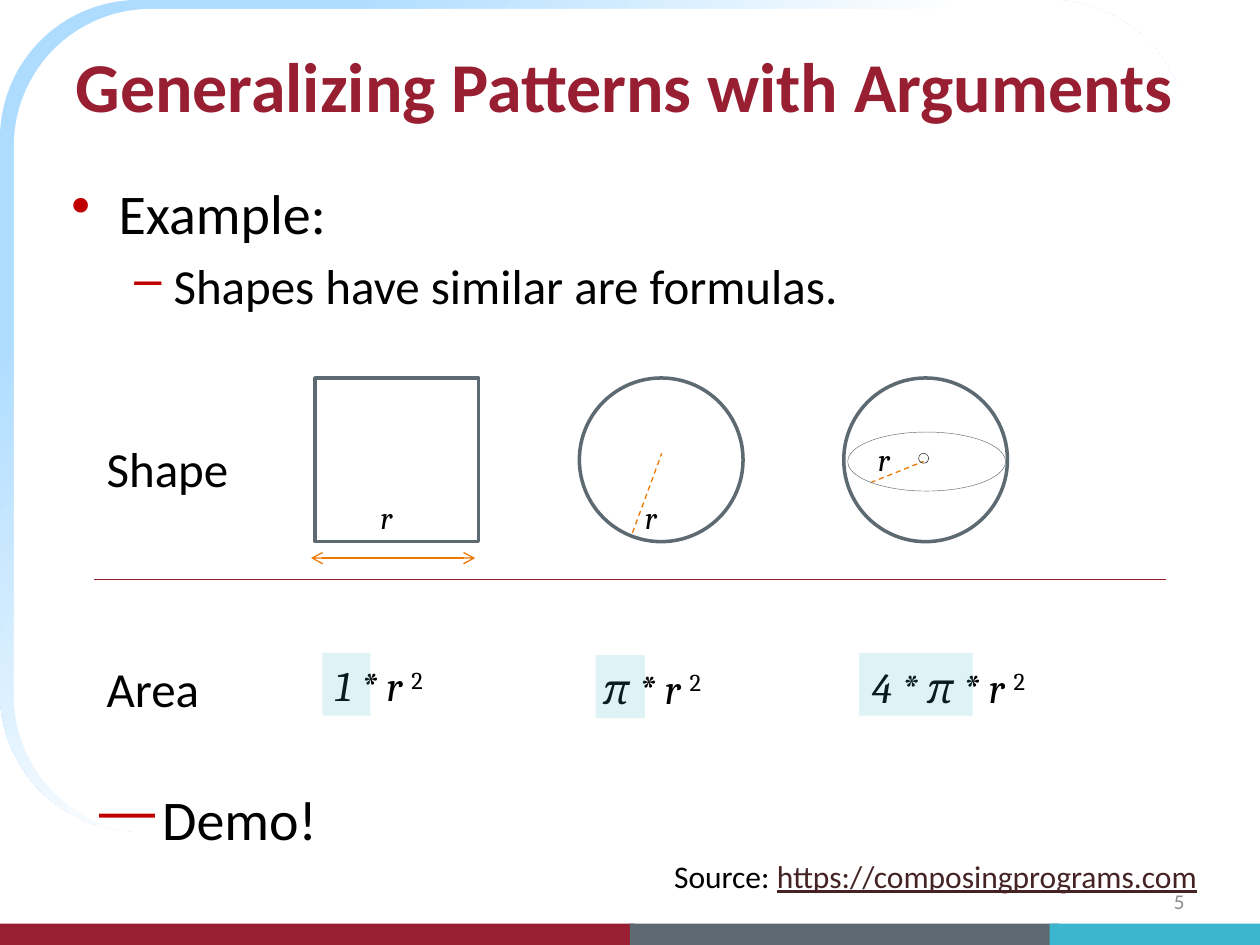
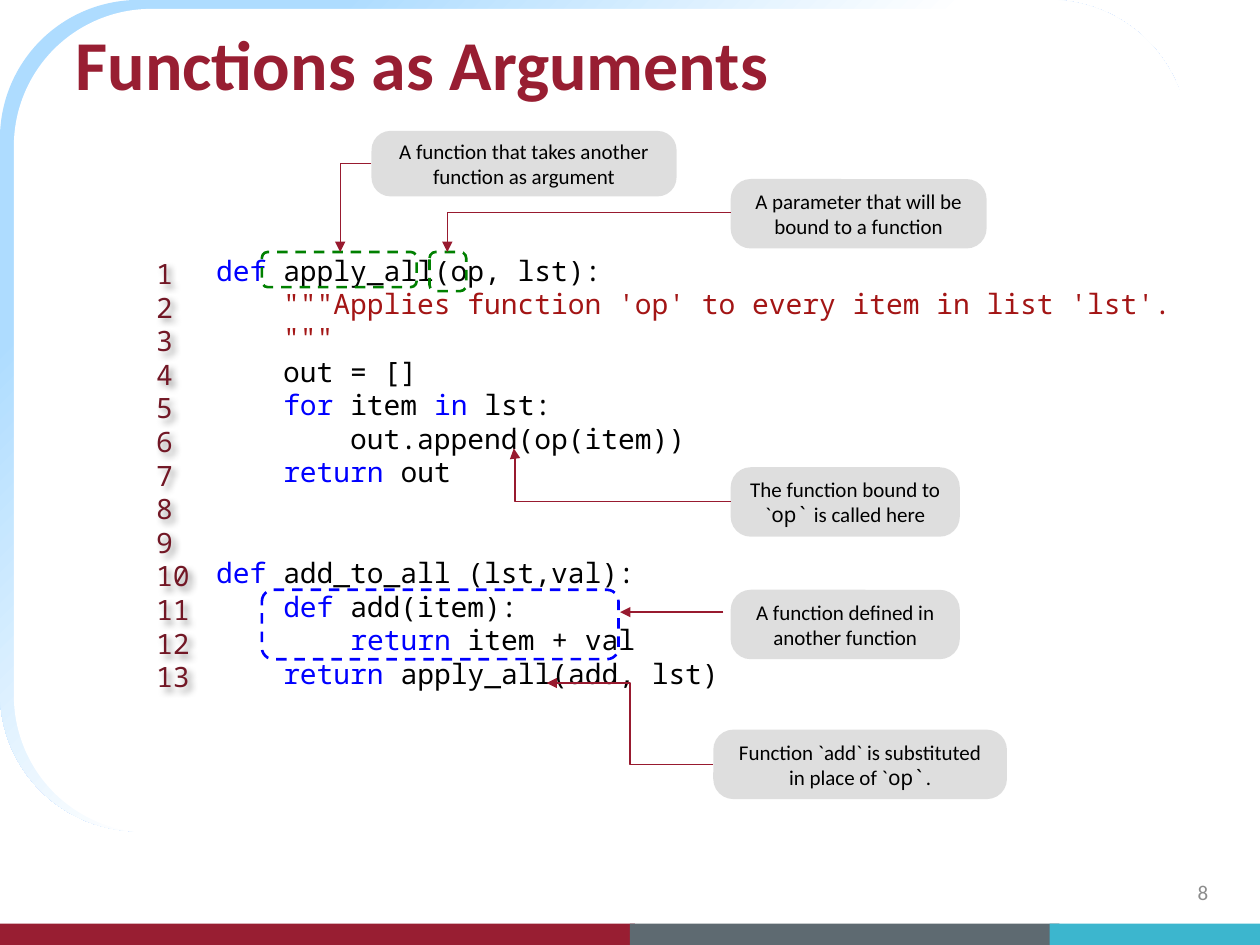
from itertools import groupby

from pptx import Presentation
from pptx.dml.color import RGBColor
from pptx.enum.dml import MSO_LINE
from pptx.enum.shapes import MSO_CONNECTOR, MSO_SHAPE
from pptx.enum.text import MSO_ANCHOR, MSO_AUTO_SIZE, PP_ALIGN
from pptx.oxml.ns import qn
from pptx.util import Cm, Pt

RECT, OVAL, ROUND = MSO_SHAPE.RECTANGLE, MSO_SHAPE.OVAL, MSO_SHAPE.ROUNDED_RECTANGLE
STRAIGHT, ELBOW = MSO_CONNECTOR.STRAIGHT, MSO_CONNECTOR.ELBOW
TOP, MIDDLE = MSO_ANCHOR.TOP, MSO_ANCHOR.MIDDLE
LEFT, CENTER, RIGHT = PP_ALIGN.LEFT, PP_ALIGN.CENTER, PP_ALIGN.RIGHT
DASH, FIXED = MSO_LINE.DASH, MSO_AUTO_SIZE.NONE

CRIMSON = RGBColor(0x98, 0x1E, 0x32)
WINE = RGBColor(0x98, 0x1A, 0x2F)
MAROON = RGBColor(0x72, 0x17, 0x25)
SLATE = RGBColor(0x5E, 0x6A, 0x71)
TEAL = RGBColor(0x3C, 0xB6, 0xCE)
SKY = RGBColor(0xAE, 0xDC, 0xFF)
WHITE = RGBColor(0xFF, 0xFF, 0xFF)
BLACK = RGBColor(0, 0, 0)
GRAY = RGBColor(0x8C, 0x8C, 0x8C)
SILVER = RGBColor(0xBF, 0xBF, 0xBF)
ORANGE = RGBColor(0xEC, 0x77, 0x02)
BULLET = RGBColor(0xC0, 0, 0)
LINK = RGBColor(0x45, 0x23, 0x25)
BLUE = RGBColor(0, 0, 0xFF)
GREEN = RGBColor(0, 0x80, 0)
BRICK = RGBColor(0xA3, 0x15, 0x15)

SANS, SERIF, MONO = "Calibri", "Cambria", "Noto Sans Mono"
KEYS = {"def", "for", "in", "return"}


def child(parent, tag, **attrs):
    """Append a DrawingML element with its attributes."""
    node = parent.makeelement(qn("a:" + tag), {k: str(v) for k, v in attrs.items()})
    parent.append(node)
    return node


def write(para, text, size=18, font=SANS, color=BLACK, bold=False,
          slant=False, under=False, base=0):
    """Add one formatted run to a paragraph."""
    run = para.add_run()
    run.text = text
    face = run.font
    face.size, face.name, face.color.rgb = Pt(size), font, color
    face.bold, face.italic, face.underline = bold, slant, under
    if base:
        face._element.set("baseline", str(base * 1000))


def tint(shape, percent):
    """Make a solid fill partly transparent."""
    color = shape._element.spPr.find(qn("a:solidFill")).find(qn("a:srgbClr"))
    child(color, "alpha", val=percent * 1000)


def mark(para, sign, left, hang):
    """Give a paragraph a coloured bullet and a hanging indent."""
    props = para._p.get_or_add_pPr()
    props.set("marL", str(Cm(left)))
    props.set("indent", str(-Cm(hang)))
    child(child(props, "buClr"), "srgbClr", val=BULLET)
    child(props, "buChar", char=sign)


class Deck:
    def __init__(self):
        self.show = Presentation()
        self.show.slide_width, self.show.slide_height = Cm(25.4), Cm(19.05)
        self.layout = self.show.slide_layouts[5]
        self.slide = None

    def page(self, title, spot, number, place):
        """Start a slide with its title and page number."""
        first = self.slide is None
        self.slide = self.show.slides.add_slide(self.layout)
        if first:
            self.frame()
        head = self.slide.shapes.title
        head.left, head.top, head.width, head.height = map(Cm, spot)
        self.setup(head.text_frame, MIDDLE)
        para = head.text_frame.paragraphs[0]
        para.alignment = LEFT
        write(para, title, size=40, color=CRIMSON, bold=True)
        self.text(*place, 5.92, 1.02, number, anchor=MIDDLE, align=RIGHT,
                  size=12, color=GRAY)

    def frame(self):
        """Put the shared curve and bottom bands on the layout."""
        curve = self.shape(ROUND, 0, 0, 23.95, 16.76, fill=SKY)
        curve.fill.gradient()
        curve.fill.gradient_angle = 315
        for stop, place, color in zip(curve.fill.gradient_stops, (0.17, 0.48), (SKY, WHITE)):
            stop.position, stop.color.rgb = place, color
        parts = [curve, self.shape(ROUND, 0.28, 0.18, 23.75, 16.61, fill=WHITE)]
        for left, width, color in ((0, 12.8, CRIMSON), (12.7, 8.66, SLATE), (21.16, 4.24, TEAL)):
            parts.append(self.shape(RECT, left, 18.62, width, 0.43, fill=color))
        tree = self.layout.shapes._spTree
        for n, part in enumerate(parts):
            part._element.nvSpPr.cNvPr.set("id", str(100 + n))
            tree.insert(2 + n, part._element)

    def setup(self, frame, anchor, wrap=True):
        frame.word_wrap, frame.auto_size = wrap, FIXED
        frame.vertical_anchor = anchor

    def box(self, left, top, width, height, anchor=TOP, wrap=True):
        """Add an empty text box."""
        area = self.slide.shapes.add_textbox(*map(Cm, (left, top, width, height)))
        self.setup(area.text_frame, anchor, wrap)
        return area

    def text(self, left, top, width, height, words, anchor=TOP, align=LEFT, **style):
        """Add a text box that holds one run."""
        para = self.box(left, top, width, height, anchor).text_frame.paragraphs[0]
        para.alignment = align
        write(para, words, **style)
        return para

    def shape(self, kind, left, top, width, height, fill=None, line=None,
              weight=1, dash=None):
        item = self.slide.shapes.add_shape(kind, *map(Cm, (left, top, width, height)))
        item.shadow.inherit = False
        if fill is None:
            item.fill.background()
        else:
            item.fill.solid()
            item.fill.fore_color.rgb = fill
        if line is None:
            item.line.fill.background()
        else:
            item.line.color.rgb, item.line.width = line, Pt(weight)
            item.line.dash_style = dash
        return item

    def line(self, start, end, color=WINE, dash=None, head=None, tail=None, bend=None):
        """Add a line; bend is 'corner' or the place of the turn in percent."""
        kind = STRAIGHT if bend is None else ELBOW
        link = self.slide.shapes.add_connector(kind, *map(Cm, start + end))
        link.line.color.rgb, link.line.width = color, Pt(0.75)
        link.line.dash_style = dash
        props = link._element.spPr
        stroke = props.find(qn("a:ln"))
        for tag, tip in (("headEnd", head), ("tailEnd", tail)):
            if tip:
                child(stroke, tag, type=tip)
        child(props, "effectLst")
        if bend is not None:
            form = props.find(qn("a:prstGeom"))
            if bend == "corner":
                form.set("prst", "bentConnector2")
            else:
                guides = form.find(qn("a:avLst"))
                child(guides, "gd", name="adj1", fmla=f"val {round(bend * 1000)}")

    def note(self, left, top, width, height, *runs):
        """Add a gray callout; every second run is code."""
        item = self.shape(ROUND, left, top, width, height, fill=SILVER)
        item.adjustments[0] = 0.29
        tint(item, 50)
        self.setup(item.text_frame, MIDDLE)
        para = item.text_frame.paragraphs[0]
        para.alignment = CENTER
        for n, words in enumerate(runs):
            write(para, words, size=12, font=MONO if n % 2 else SANS)

    def code(self, spot, lines, paint):
        """Add lines of code; paint gives the runs of a line."""
        area = self.box(*spot, anchor=MIDDLE, wrap=False)
        frame, gap, pitch = area.text_frame, 0, 19.2
        for n, line in enumerate(lines):
            if not line:
                gap += pitch
                continue
            para = frame.add_paragraph() if n else frame.paragraphs[0]
            para.line_spacing = Pt(pitch)
            if gap:
                para.space_before, gap = Pt(gap), 0
            for words, color in paint(line):
                write(para, words, size=16, font=MONO, color=color)
        return area


def paint(line):
    """Split a line of code into coloured runs."""
    if '"""' in line:
        return [(line, BRICK)]
    groups = [(key, " ".join(words))
              for key, words in groupby(line.split(" "), lambda word: word in KEYS)]
    last = len(groups) - 1
    return [(words + (" " if n < last else ""), BLUE if key else BLACK)
            for n, (key, words) in enumerate(groups)]


def areas(deck):
    deck.page("Generalizing Patterns with Arguments", (1.27, 0.43, 24.13, 2.54),
              "5", (18.21, 17.65))

    # Outline
    body = deck.box(1.19, 3.48, 23.7, 14.17).text_frame
    para = body.paragraphs[0]
    mark(para, "•", 0.95, 0.95)
    write(para, "Example:", size=32)
    para = body.add_paragraph()
    para.level = 1
    para.space_before = Pt(5.6)
    mark(para, "–", 2.06, 0.79)
    write(para, "Shapes have similar are formulas.", size=28)

    para = deck.text(13.34, 17.15, 11.63, 1.02, "Source: ")
    write(para, "https://composingprograms.com", color=LINK, under=True)

    # Row names and rule
    for top, name in ((8.71, "Shape"), (13.16, "Area")):
        deck.text(1.9, top, 3.38, 1.45, name, size=28)
    deck.line((1.9, 11.68), (23.5, 11.68))

    # Square, circle and sphere
    for n, kind in enumerate((RECT, OVAL, OVAL)):
        deck.shape(kind, 6.35 + 5.33 * n, 7.62, 3.3, 3.3, fill=WHITE, line=SLATE, weight=2)
    for left, top in ((7.42, 9.91), (12.75, 9.91), (17.45, 8.74)):
        deck.text(left, top, 1.19, 1.02, "r", font=SERIF, slant=True)
    deck.line((6.27, 11.25), (9.58, 11.25), ORANGE, head="arrow", tail="arrow")
    deck.line((12.75, 10.74), (13.34, 9.14), ORANGE, dash=DASH)
    deck.line((17.55, 9.73), (18.62, 9.3), ORANGE, dash=DASH)
    deck.shape(OVAL, 17.09, 8.71, 3.18, 1.19, line=SLATE, weight=0.25)
    deck.shape(OVAL, 18.52, 9.14, 0.2, 0.2, line=BLACK, weight=0.25)

    # Formulas with the factor marked
    rows = (("1 * r ", 13.18, 2.82, 6.5, 13.16, 0.97),
            ("π * r ", 13.23, 2.82, 12.01, 13.21, 0.99),
            ("4 * π * r ", 13.21, 3.84, 17.32, 13.16, 2.29))
    for n, (words, top, width, left, high, wide) in enumerate(rows):
        para = deck.text(6.5 + 5.41 * n, top, width, 1.27, words,
                         size=24, font=SERIF, slant=True)
        write(para, "2", size=24, font=SERIF, base=30)
        tint(deck.shape(RECT, left, high, wide, 1.27, fill=TEAL), 16)

    para = deck.text(1.75, 15.7, 6.35, 1.63, "Demo!", size=32)
    mark(para, "―", 1.27, 1.27)


def calls(deck):
    deck.page("Functions as Arguments", (1.27, 0, 21.39, 2.54), "8", (18.69, 17.48))

    # Code and line numbers
    lines = ["def apply_all(op, lst):",
             "    \"\"\"Applies function 'op' to every item in list 'lst'.",
             '    """',
             "    out = []",
             "    for item in lst:",
             "        out.append(op(item))",
             "    return out",
             "",
             "",
             "def add_to_all (lst,val):",
             "    def add(item):",
             "        return item + val",
             "    return apply_all(add, lst)"]
    deck.code((4.11, 5, 19.81, 9.02), lines, paint)
    digits = deck.code((2.9, 4.09, 1.2, 10.97), [str(n + 1) for n in range(len(lines))],
                       lambda line: [(line, MAROON)])
    glow = child(child(digits._element.spPr, "effectLst"), "outerShdw", blurRad=Pt(4),
                 dist=Pt(3), dir=2700000, algn="tl", rotWithShape=0)
    child(child(glow, "srgbClr", val=BLACK), "alpha", val=40000)

    # Dashed marks on the code
    for spot, color in (((5.28, 5.08, 3.12, 0.71), GREEN),
                        ((8.66, 5.08, 0.74, 0.79), GREEN),
                        ((5.28, 11.89, 7.19, 1.4), BLUE)):
        deck.shape(ROUND, *spot, line=color, weight=1.5, dash=DASH)

    # Callouts
    deck.note(7.49, 2.64, 6.15, 1.32, "A function that takes another function as argument")
    deck.note(14.73, 3.61, 5.16, 1.4, "A parameter that will be bound to a function")
    deck.note(14.73, 9.42, 4.62, 1.4, "The function bound to `", "op`", " is called here")
    deck.note(14.73, 11.89, 4.62, 1.4, "A function defined in another function")
    deck.note(14.38, 14.71, 5.92, 1.4,
              "Function `add` is substituted in place of `", "op`", ".")

    # Arrows from callouts to code
    for start, end, bend in (((7.49, 3.3), (6.86, 5.08), "corner"),
                             ((14.73, 4.29), (9.02, 5.08), "corner"),
                             ((14.73, 10.11), (10.36, 9.04), 99.5),
                             ((14.58, 12.34), (12.5, 12.34), None),
                             ((14.38, 15.42), (11.02, 13.77), 50)):
        deck.line(start, end, tail="triangle", bend=bend)


def main():
    deck = Deck()
    areas(deck)
    calls(deck)
    deck.show.save("out.pptx")


if __name__ == "__main__":
    main()
